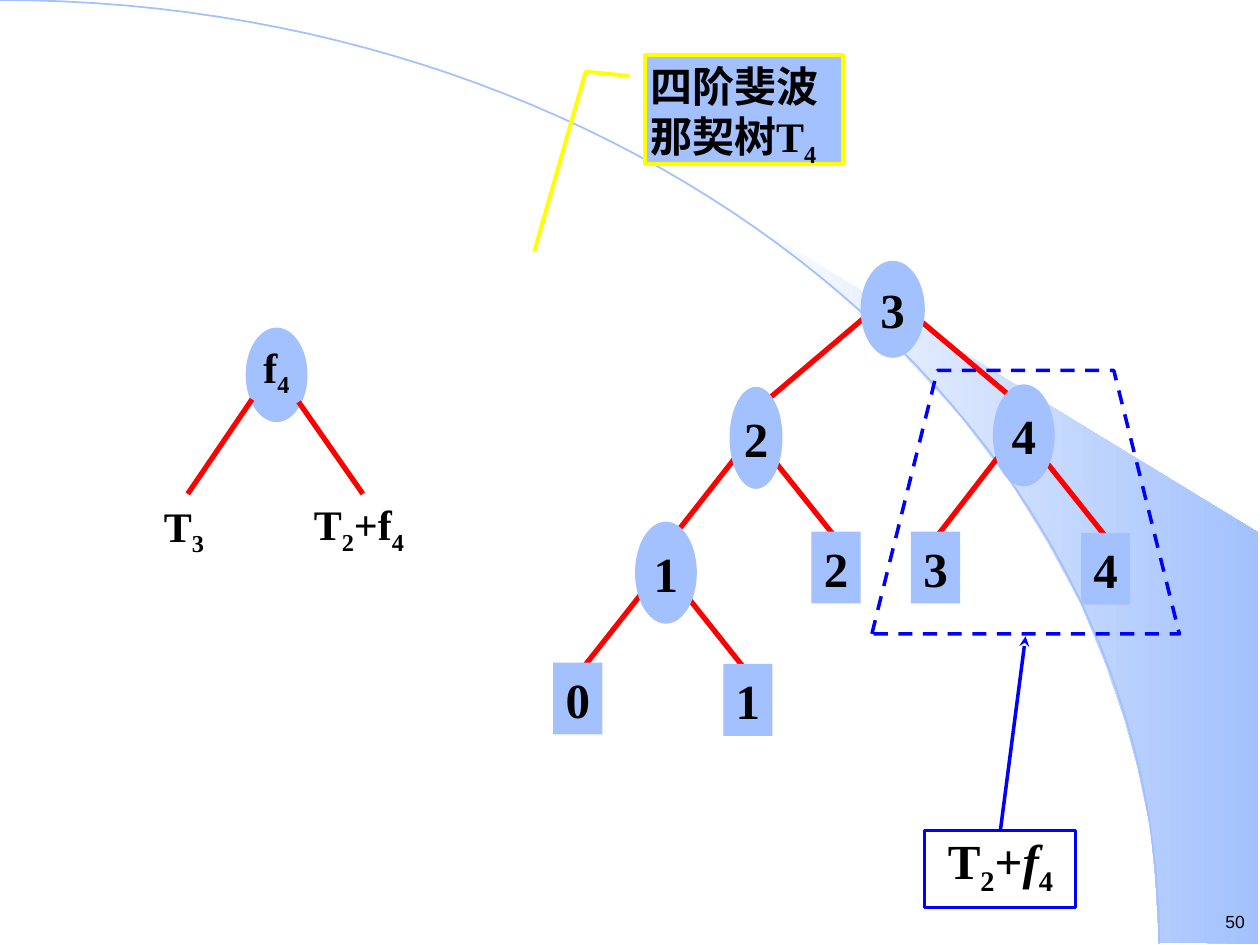
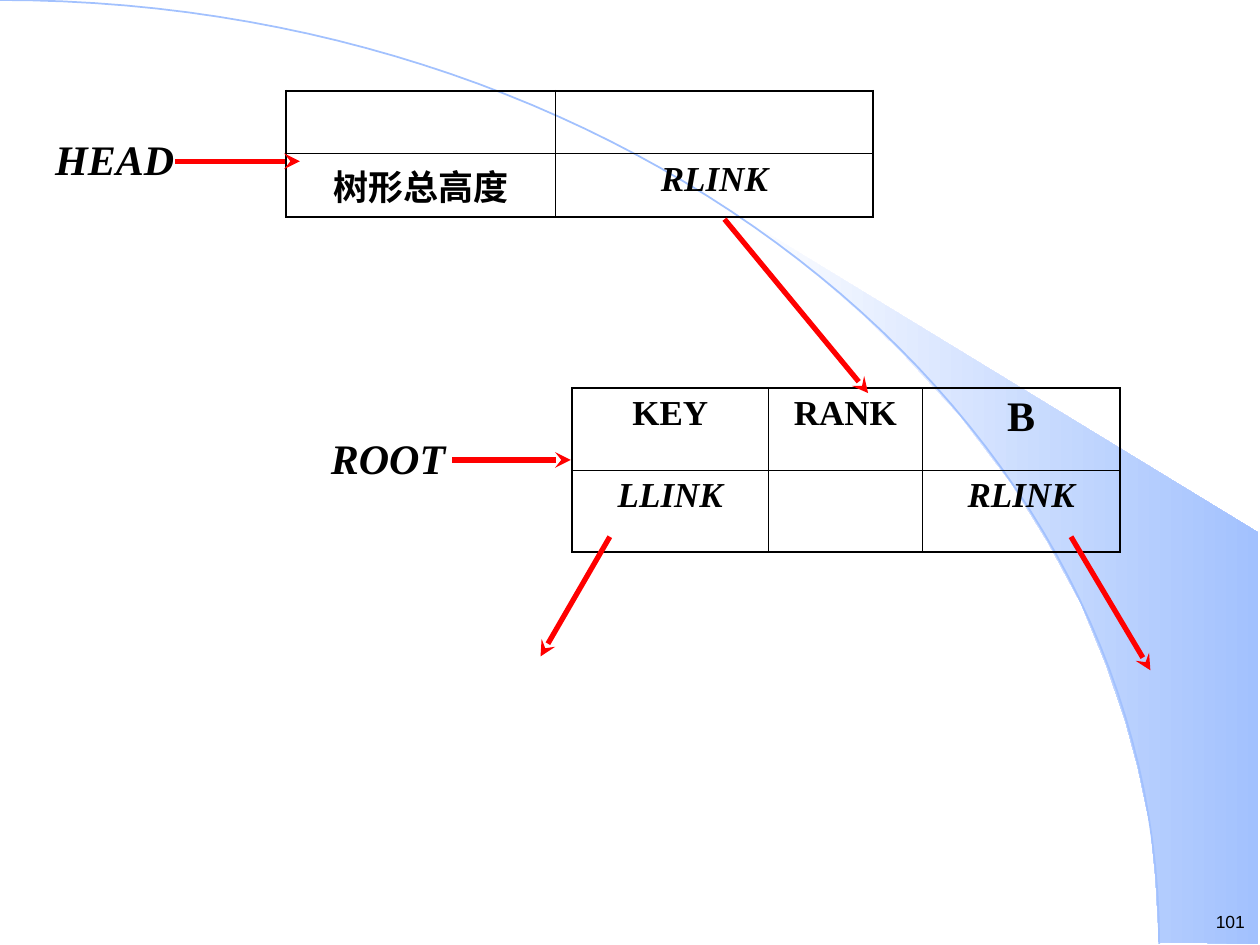
"""Build two slides on Fibonacci trees and linked tree nodes."""
from lxml import etree
from pptx import Presentation
from pptx import util as u
from pptx.dml.color import RGBColor
from pptx.enum import dml, shapes, text
from pptx.oxml import ns

HUES = {"ink": "000000", "pale": "A2C1FE", "white": "FFFFFF",
        "red": "FF0000", "blue": "0000FF", "gold": "FFFF00"}
SERIF = "Times New Roman"
KIND = shapes.MSO_SHAPE
MID = text.MSO_ANCHOR.MIDDLE
LEFT, RIGHT, MIDST = (text.PP_ALIGN.LEFT, text.PP_ALIGN.RIGHT,
                      text.PP_ALIGN.CENTER)
WEDGE = [(9.2, 7.48), (9.99, 7.49), (9.99, 4.23), (5.89, 1.73), (6.24, 1.99),
         (6.53, 2.22), (6.85, 2.5), (7.16, 2.8), (7.62, 3.3), (8.03, 3.84),
         (8.32, 4.31), (8.58, 4.79), (8.78, 5.28), (8.93, 5.72), (9.03, 6.09),
         (9.13, 6.56), (9.17, 6.96)]


def hue(name):
    """Return a named colour."""
    return RGBColor.from_string(HUES[name])


def write(frame, *runs, size=24, font=SERIF, bold=True, align=MIDST):
    """Write runs: a leading _ marks a subscript, a leading / italics."""
    para = frame.paragraphs[0]
    para.alignment = align
    for part in runs:
        run = para.add_run()
        run.text = part.lstrip("_/")
        run.font.size, run.font.name = u.Pt(size), font
        run.font.bold, run.font.italic = bold, part.startswith("/")
        run.font.color.rgb = hue("ink")
        if part.startswith("_"):
            run._r.get_or_add_rPr().set("baseline", "-25000")


def inset(frame, left=0, top=0, right=0, foot=0):
    """Set the margins of a wrapped text frame."""
    frame.word_wrap = True
    frame.margin_left, frame.margin_top = u.Inches(left), u.Inches(top)
    frame.margin_right, frame.margin_bottom = u.Inches(right), u.Inches(foot)


def paint(shape, fill=None, line=None, width=1):
    """Set the fill and line of a shape and drop its shadow."""
    shape.shadow.inherit = False
    if fill:
        shape.fill.solid()
        shape.fill.fore_color.rgb = hue(fill)
    else:
        shape.fill.background()
    if line:
        shape.line.color.rgb = hue(line)
        shape.line.width = u.Pt(width)
    else:
        shape.line.fill.background()


def label(slide, box, *runs, **form):
    """Add a plain text box."""
    frame = slide.shapes.add_textbox(*map(u.Inches, box)).text_frame
    inset(frame)
    write(frame, *runs, **form)


def block(slide, kind, box, *runs, fill="pale", line=None, width=1,
          foot=0, **form):
    """Add a preset shape with centred text."""
    shape = slide.shapes.add_shape(kind, *map(u.Inches, box))
    paint(shape, fill, line, width)
    inset(shape.text_frame, foot=foot)
    shape.text_frame.vertical_anchor = MID
    write(shape.text_frame, *runs, **form)
    return shape


def link(slide, start, end, color="red", width=3, arrow=False):
    """Add a straight line, with an arrowhead if wanted."""
    wire = slide.shapes.add_connector(
        shapes.MSO_CONNECTOR.STRAIGHT, *map(u.Inches, (*start, *end)))
    wire.line.color.rgb = hue(color)
    wire.line.width = u.Pt(width)
    if arrow:
        etree.SubElement(wire.line._get_or_add_ln(), ns.qn("a:tailEnd"),
                         type="stealth")
    etree.SubElement(wire._element.spPr, ns.qn("a:effectLst"))
    return wire


def trace(slide, points, close=True):
    """Add a free outline through points in inches."""
    spots = [(u.Inches(x), u.Inches(y)) for x, y in points]
    pen = slide.shapes.build_freeform(*spots[0])
    pen.add_line_segments(spots[1:], close=close)
    return pen.convert_to_shape()


def curve(a, b, c, d, steps=60):
    """Return points along a cubic curve."""
    ways = [(i / steps, 1 - i / steps) for i in range(steps + 1)]
    return [tuple(s**3 * p + 3 * s * s * t * q + 3 * s * t * t * r + t**3 * v
                  for p, q, r, v in zip(a, b, c, d)) for t, s in ways]


def page(deck, number):
    """Add a slide with the shared arc, wedge and page number."""
    slide = deck.slides.add_slide(deck.slide_layouts[6])
    wedge = trace(slide, WEDGE)
    paint(wedge)
    wedge.fill.gradient()
    wedge.fill.gradient_angle = 0
    for stop, spot, name in zip(wedge.fill.gradient_stops, (0, 1),
                                ("white", "pale")):
        stop.position, stop.color.rgb = spot, hue(name)
    arc = trace(slide, curve((0, 0), (5.08, 0), (9.2, 3.35), (9.2, 7.49)),
                close=False)
    paint(arc, line="pale")
    label(slide, (9.41, 7.23, 0.47, 0.2), number,
          size=10, font="Arial", bold=False, align=RIGHT)
    return slide


def edge(cell, sides):
    """Set cell borders from a map of side to width."""
    props = cell._tc.get_or_add_tcPr()
    for side in "LRTB":
        line = etree.SubElement(props, ns.qn("a:ln" + side),
                                w=str(u.Pt(sides[side])))
        fill = etree.SubElement(line, ns.qn("a:solidFill"))
        etree.SubElement(fill, ns.qn("a:srgbClr"), val=HUES["ink"])


def grid(slide, spot, wide, high, rows):
    """Add a clear table with a heavier frame."""
    last, base = len(wide) - 1, len(rows) - 1
    table = slide.shapes.add_table(
        len(rows), len(wide), *map(u.Inches, spot), u.Inches(sum(wide)),
        u.Inches(high * len(rows))).table
    table.first_row = table.horz_banding = False
    for col, width in zip(table.columns, wide):
        col.width = u.Inches(width)
    for i, row in enumerate(rows):
        table.rows[i].height = u.Inches(high)
        for j, word in enumerate(row):
            cell = table.cell(i, j)
            rims = {"L": j == 0, "R": j == last, "T": i == 0, "B": i == base}
            edge(cell, {k: 1.08 if rim else 0.45 for k, rim in rims.items()})
            cell.fill.background()
            if word:
                write(cell.text_frame, word, size=24 if word == "B" else 20)


def tree(slide):
    """Draw the fourth-order Fibonacci tree."""
    for start, end in [((7.92, 3.63), (7.41, 4.29)), ((8.29, 3.65), (8.8, 4.29)),
                       ((6.14, 3.65), (6.65, 4.29)), ((7.31, 2.55), (8.06, 3.18)),
                       ((6.85, 2.53), (6.06, 3.2)), ((5.1, 4.7), (4.58, 5.36)),
                       ((5.45, 4.73), (5.96, 5.37)), ((5.83, 3.64), (5.32, 4.29))]:
        link(slide, start, end)
    for key, *box in [("3", 6.83, 2.07, 0.51, 0.77), ("2", 5.79, 3.07, 0.42, 0.81),
                      ("4", 7.88, 3.05, 0.49, 0.81), ("1", 5.04, 4.14, 0.49, 0.81)]:
        block(slide, KIND.OVAL, box, key, size=28)
    for key, x, y in [("0", 4.39, 5.26), ("1", 5.74, 5.27), ("2", 6.44, 4.22),
                      ("3", 7.23, 4.22), ("4", 8.58, 4.23)]:
        block(slide, KIND.RECTANGLE, (x, y, 0.39, 0.57), key, size=28)


def growth(deck):
    """Build the slide on the Fibonacci tree."""
    slide = page(deck, "50")
    block(slide, KIND.OVAL, (1.95, 2.6, 0.49, 0.75), "f", "_4", foot=0.08)
    link(slide, (2, 3.17), (1.49, 3.92))
    link(slide, (2.37, 3.19), (2.88, 3.92))
    label(slide, (1.3, 3.97, 0.35, 0.53), "T", "_3", align=LEFT)
    label(slide, (2.49, 3.96, 0.75, 0.53), "T", "_2", "+f", "_4", align=LEFT)
    tree(slide)
    note = block(slide, KIND.LINE_CALLOUT_2, (5.12, 0.44, 1.57, 0.86),
                 "四阶斐波那契树T", "_4", line="gold", width=2.25, align=LEFT)
    inset(note.text_frame, 0.04, 0.04, 0.04, 0.04)
    note.text_frame.vertical_anchor = text.MSO_ANCHOR.TOP
    for i, value in enumerate((0.19, -0.08, 0.15, -0.3, 1.81, -0.56)):
        note.adjustments[i] = value
    frame = trace(slide, [(6.92, 5.03), (7.44, 2.94), (8.84, 2.94), (9.36, 5.03)])
    paint(frame, line="blue", width=2)
    frame.line.dash_style = dml.MSO_LINE.DASH
    total = block(slide, KIND.RECTANGLE, (7.34, 6.59, 1.2, 0.61),
                  "T", "_2", "+", "/f", "_4", fill=None, line="blue",
                  width=1.75, foot=0.08, size=28)
    wire = link(slide, (7.94, 6.59), (8.14, 5.05), "blue", 2, True)
    wire.begin_connect(total, 0)


def nodes(deck):
    """Build the slide on the head and root nodes."""
    slide = page(deck, "101")
    grid(slide, (2.27, 0.72), (2.14, 2.52), 0.5,
         [("", ""), ("树形总高度", "/RLINK")])
    grid(slide, (4.54, 3.08), (1.56, 1.22, 1.57), 0.65,
         [("KEY", "RANK", "B"), ("/LLINK", "", "/RLINK")])
    for start, end in [((1.39, 1.28), (2.38, 1.28)), ((5.75, 1.74), (6.89, 3.12)),
                       ((8.5, 4.26), (9.13, 5.32)), ((4.84, 4.26), (4.29, 5.21)),
                       ((3.59, 3.65), (4.53, 3.65))]:
        link(slide, start, end, arrow=True)
    label(slide, (0.35, 1.06, 1.12, 0.4), "/HEAD")
    label(slide, (2.54, 3.43, 1.08, 0.4), "/ROOT")


def main():
    """Build and save the deck."""
    deck = Presentation()
    deck.slide_width, deck.slide_height = u.Inches(10), u.Inches(7.5)
    growth(deck)
    nodes(deck)
    deck.save("out.pptx")


if __name__ == "__main__":
    main()
